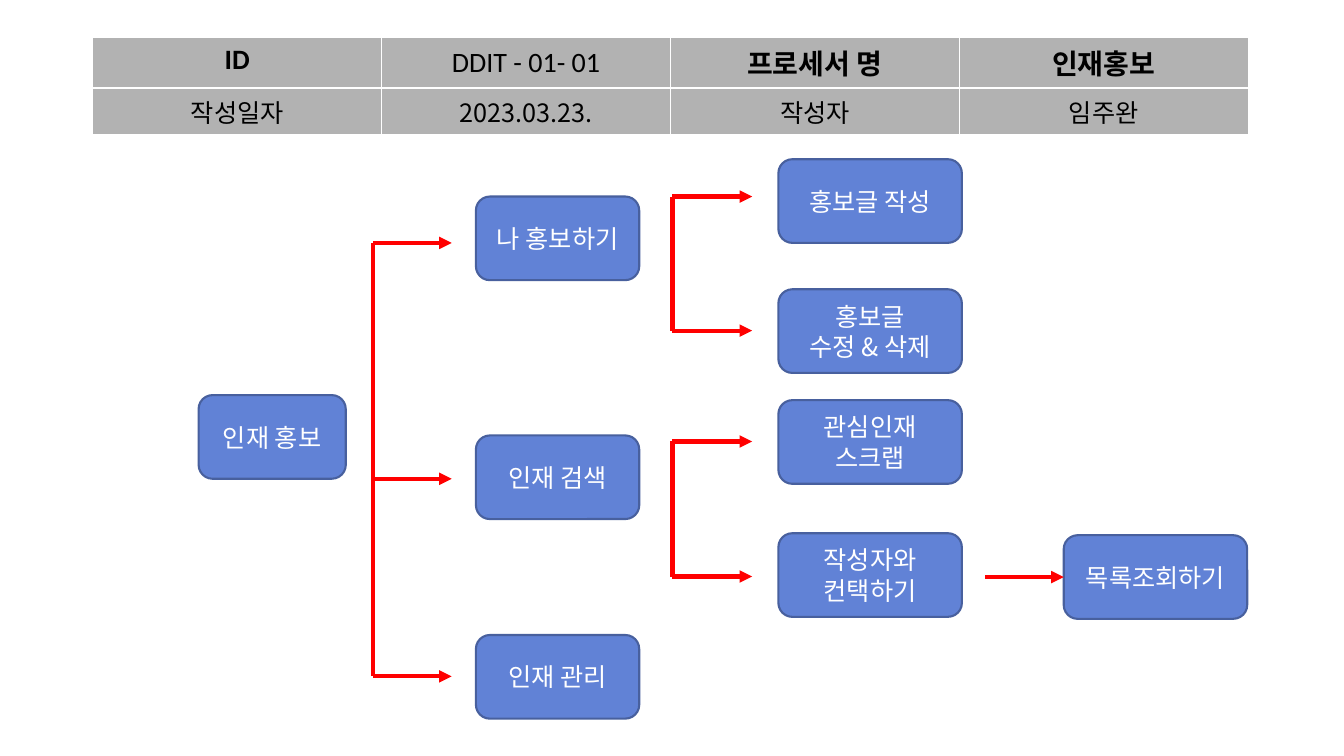
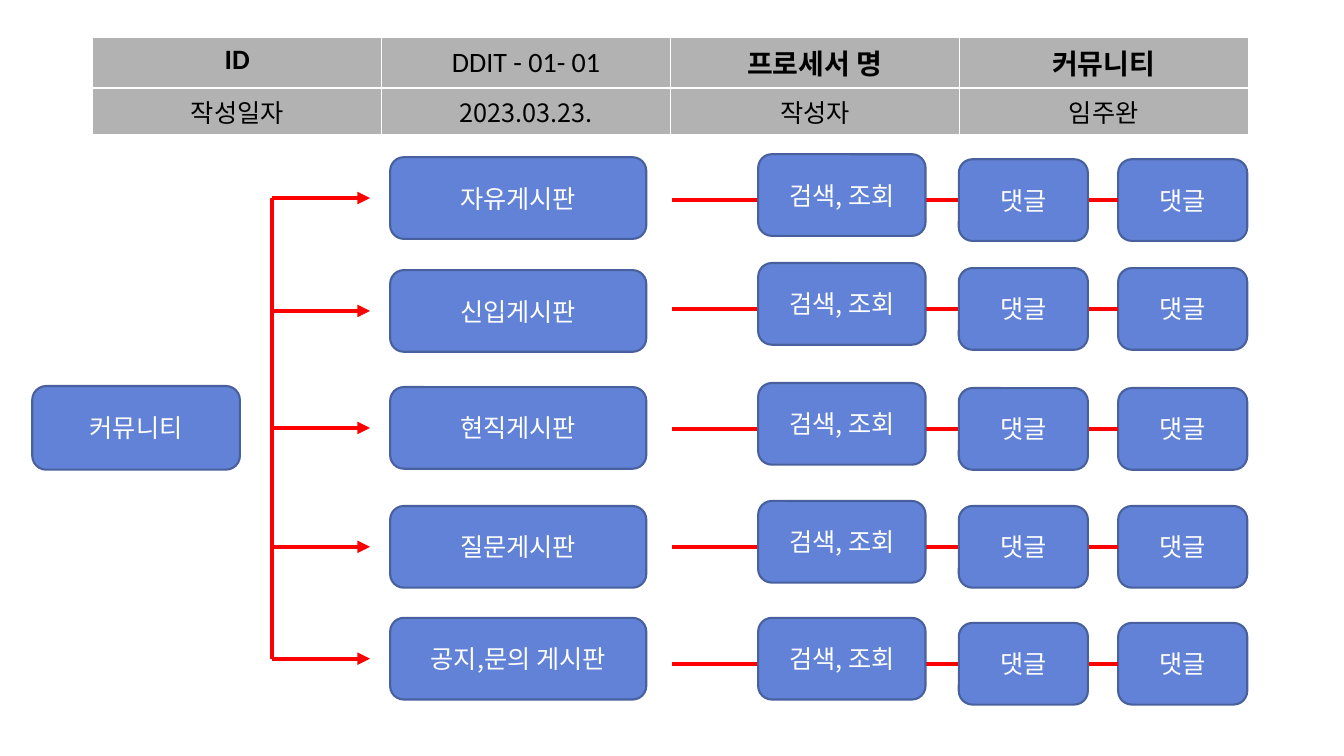
from lxml import etree
from pptx import Presentation
from pptx.dml.color import RGBColor
from pptx.enum.shapes import MSO_CONNECTOR, MSO_SHAPE
from pptx.enum.text import MSO_ANCHOR, PP_ALIGN
from pptx.oxml.ns import qn
from pptx.util import Inches, Pt

COLORS = {"node": "6182D6", "outline": "48609E", "arrow": "FF0000",
          "header": "B2B2B2", "white": "FFFFFF", "black": "000000"}
LATIN, KOREAN = "Calibri", "Noto Sans CJK KR"
ROUNDED, STRAIGHT = MSO_SHAPE.ROUNDED_RECTANGLE, MSO_CONNECTOR.STRAIGHT
CENTER, MIDDLE, TOP = PP_ALIGN.CENTER, MSO_ANCHOR.MIDDLE, MSO_ANCHOR.TOP
LEFT_SIDE = 1

HEADER_BOX = (0.92, 0.37, 11.46, 0.84)
NODE_HEIGHT, BOARD_HEIGHT = 0.83, 0.81


def rgb(name):
    return RGBColor.from_string(COLORS[name])


def write(frame, text, size=18, font=KOREAN, color="white", bold=False):
    frame.text = text
    for paragraph in frame.paragraphs:
        paragraph.alignment = CENTER
        for run in paragraph.runs:
            run.font.size, run.font.bold = Pt(size), bold
            run.font.color.rgb = rgb(color)
            run.font.name = font
            east_asian = etree.SubElement(run.font._element, qn("a:ea"))
            east_asian.set("typeface", KOREAN)


def add_node(slide, text, left, top, width, height=NODE_HEIGHT):
    node = slide.shapes.add_shape(ROUNDED, Inches(left), Inches(top),
                                  Inches(width), Inches(height))
    node.shadow.inherit = False
    node.fill.solid()
    node.fill.fore_color.rgb = rgb("node")
    node.line.color.rgb = rgb("outline")
    node.line.width = Pt(1.5)
    node.text_frame.word_wrap = True
    node.text_frame.vertical_anchor = MIDDLE
    write(node.text_frame, text)
    return node


def add_line(slide, start, end, arrow=False, target=None):
    """Draw a red line; target is a node whose left side it joins."""
    line = slide.shapes.add_connector(STRAIGHT, *map(Inches, start + end))
    line.line.color.rgb = rgb("arrow")
    line.line.width = Pt(3)
    if arrow:
        etree.SubElement(line.line._get_or_add_ln(), qn("a:tailEnd"), type="triangle")
    etree.SubElement(line._element.spPr, qn("a:effectLst"))
    if target is not None:
        line.end_connect(target, LEFT_SIDE)


def add_branch(slide, left, levels, length):
    """Draw a vertical trunk with one arrow at each level."""
    add_line(slide, (left, levels[0]), (left, levels[-1]))
    for level in levels:
        add_line(slide, (left, level), (left + length, level), arrow=True)


def add_cell_borders(cell):
    properties = cell._tc.get_or_add_tcPr()
    for index, side in enumerate(("lnL", "lnR", "lnT", "lnB")):
        border = etree.Element(qn(f"a:{side}"), w=str(Pt(1)))
        fill = etree.SubElement(border, qn("a:solidFill"))
        etree.SubElement(fill, qn("a:srgbClr"), val=COLORS["white"])
        properties.insert(index, border)


def add_header(slide, box, process):
    rows = (("ID", "DDIT - 01- 01", "프로세서 명", process),
            ("작성일자", "2023.03.23.", "작성자", "임주완"))
    table = slide.shapes.add_table(2, 4, *map(Inches, box)).table
    for column in table.columns:
        column.width = Inches(box[2] / 4)
    for row, height in zip(table.rows, (0.43, 0.41)):
        row.height = Inches(height)
    for r, texts in enumerate(rows):
        for c, text in enumerate(texts):
            cell = table.cell(r, c)
            cell.fill.solid()
            cell.fill.fore_color.rgb = rgb("header")
            is_id = (r, c) == (0, 1)
            cell.vertical_anchor = MIDDLE if is_id else TOP
            cell.margin_left = cell.margin_right = Inches(0 if is_id else 0.1)
            cell.margin_top = cell.margin_bottom = Inches(0 if is_id else 0.05)
            write(cell.text_frame, text, size=18 if r else 20, color="black",
                  font=KOREAN if r else LATIN, bold=r == 0 and not is_id)
            add_cell_borders(cell)


def add_promotion_tree(slide, left, top):
    menu_left, action_left = left + 2.75, left + 5.75
    add_node(slide, "인재 홍보", left, top + 2.34, 1.46)
    add_branch(slide, left + 1.73, [top + y for y in (0.83, 3.17, 5.13)], 0.78)
    for text, y in (("나 홍보하기", 0.37), ("인재 검색", 2.74), ("인재 관리", 4.72)):
        add_node(slide, text, menu_left, top + y, 1.62)

    for levels in ((0.37, 1.7), (2.8, 4.14)):
        add_branch(slide, left + 4.7, [top + y for y in levels], 0.79)
    actions = (("홍보글 작성", 0), ("홍보글\n수정 & 삭제", 1.29),
               ("관심인재 스크랩", 2.39), ("작성자와 컨택하기", 3.71))
    for text, y in actions:
        add_node(slide, text, action_left, top + y, 1.82)

    list_left, list_top = left + 8.58, top + 3.73
    list_view = add_node(slide, "목록조회하기", list_left, list_top, 1.82)
    level = list_top + NODE_HEIGHT / 2
    add_line(slide, (list_left - 0.78, level), (list_left, level),
             arrow=True, target=list_view)


def add_board_actions(slide, left, top):
    """Draw search and two reply nodes strung on one line."""
    search_left, reply_left, last_left = left + 0.85, left + 2.84, left + 4.42
    level = top + BOARD_HEIGHT / 2
    last_reply = add_node(slide, "댓글", last_left, top, 1.28, BOARD_HEIGHT)
    add_line(slide, (left, level), (last_left, level), target=last_reply)
    add_node(slide, "댓글", reply_left, top, 1.28, BOARD_HEIGHT)
    add_node(slide, "검색, 조회", search_left, top - 0.05, 1.66, BOARD_HEIGHT)


def add_community_tree(slide, left, top):
    boards = (("자유게시판", 0, 0.02), ("신입게시판", 1.12, 1.1),
              ("현직게시판", 2.28, 2.29), ("질문게시판", 3.46, 3.46),
              ("공지,문의 게시판", 4.57, 4.62))
    add_node(slide, "커뮤니티", left, top + 2.27, 2.06)
    levels = [top + y + BOARD_HEIGHT / 2 for _, y, _ in boards]
    add_branch(slide, left + 2.38, levels, 0.97)
    for text, board_y, actions_y in boards:
        add_node(slide, text, left + 3.55, top + board_y, 2.54, BOARD_HEIGHT)
        add_board_actions(slide, left + 6.35, top + actions_y)


def main():
    deck = Presentation()
    deck.slide_width, deck.slide_height = Inches(13.33), Inches(7.5)
    processes = (("인재홍보", add_promotion_tree, 1.97, 1.58),
                 ("커뮤니티", add_community_tree, 0.32, 1.56))
    for process, add_tree, left, top in processes:
        slide = deck.slides.add_slide(deck.slide_layouts[6])
        add_header(slide, HEADER_BOX, process)
        add_tree(slide, left, top)
    deck.save("out.pptx")


if __name__ == "__main__":
    main()
